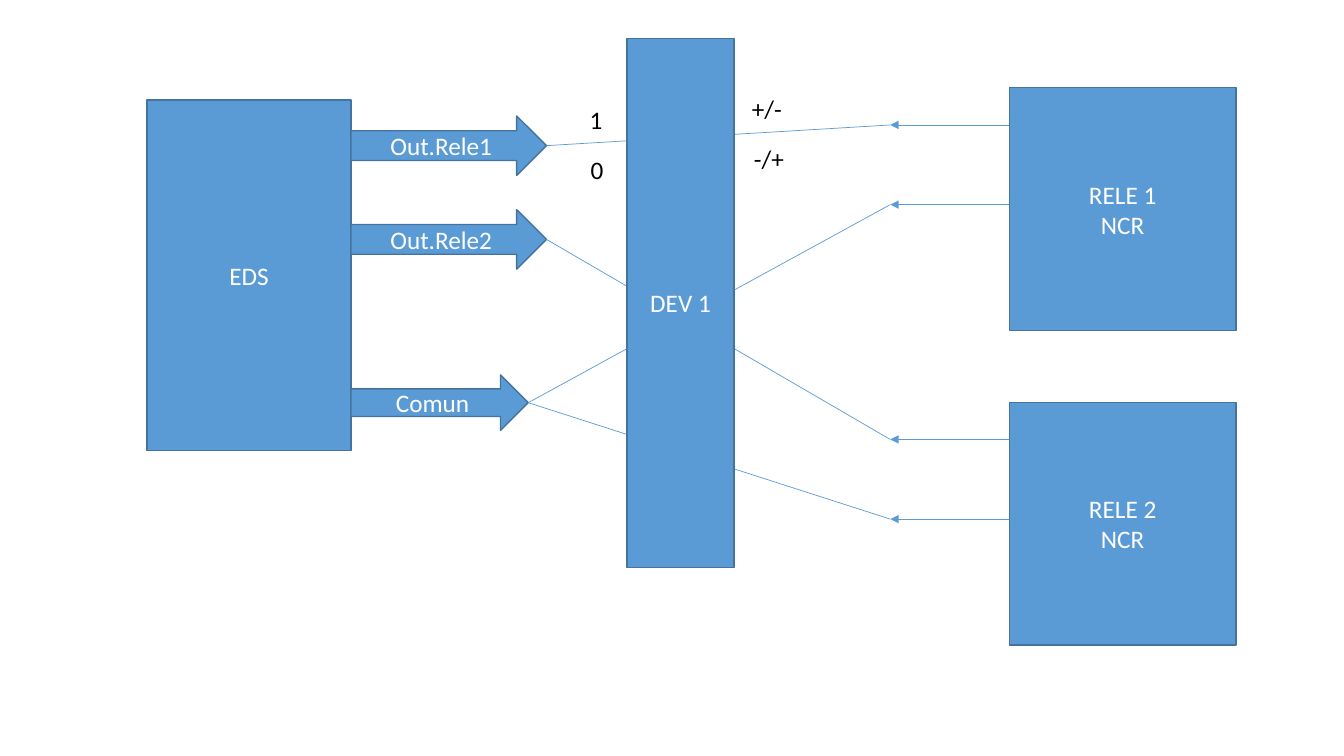
from lxml.etree import SubElement
from pptx import Presentation
from pptx.dml.color import RGBColor
from pptx.enum.shapes import MSO_CONNECTOR, MSO_SHAPE
from pptx.enum.text import MSO_ANCHOR, MSO_AUTO_SIZE, PP_ALIGN
from pptx.oxml.ns import qn
from pptx.util import Pt

PX = 9144  # 100 px to the inch
BLUE, EDGE, WHITE, BLACK = "5B9BD5", "43739E", "FFFFFF", "000000"
RIGHT_SIDE = 3

EDS_RIGHT = 348
RELAY_LEFT, RELAY_WIDTH, RELAY_HEIGHT = 1001, 225, 241
LEAD_END = 883
LEAD_OFFSETS = (37, 116)


def emu(*lengths):
    return [length * PX for length in lengths]


def color(hex_string):
    return RGBColor.from_string(hex_string)


def write(shape, text, hex_color, align):
    frame = shape.text_frame
    frame.text = text
    for paragraph in frame.paragraphs:
        paragraph.alignment = align
        for run in paragraph.runs:
            run.font.name = "Calibri"
            run.font.size = Pt(18)
            run.font.color.rgb = color(hex_color)


def add_block(slide, text, left, top, width, height, preset=MSO_SHAPE.RECTANGLE):
    block = slide.shapes.add_shape(preset, *emu(left, top, width, height))
    block.shadow.inherit = False
    block.fill.solid()
    block.fill.fore_color.rgb = color(BLUE)
    block.line.color.rgb = color(EDGE)
    block.line.width = Pt(1)
    block.text_frame.vertical_anchor = MSO_ANCHOR.MIDDLE
    write(block, text, WHITE, PP_ALIGN.CENTER)
    return block


def add_output(slide, text, top, width, height):
    return add_block(slide, text, EDS_RIGHT, top, width, height, MSO_SHAPE.RIGHT_ARROW)


def add_line(slide, x1, y1, x2, y2):
    line = slide.shapes.add_connector(MSO_CONNECTOR.STRAIGHT, *emu(x1, y1, x2, y2))
    line.line.color.rgb = color(BLUE)
    line.line.width = Pt(0.5)
    SubElement(line._element.spPr, qn("a:effectLst"))
    return line


def add_relay(slide, text, top):
    """Draw a relay with its two leads and return the heights of the leads."""
    add_block(slide, text, RELAY_LEFT, top, RELAY_WIDTH, RELAY_HEIGHT)
    lead_heights = [top + offset for offset in LEAD_OFFSETS]
    for y in lead_heights:
        lead = add_line(slide, RELAY_LEFT, y, LEAD_END, y)
        SubElement(lead.line._get_or_add_ln(), qn("a:tailEnd"), type="triangle")
    return lead_heights


def add_wire(slide, output, lead_y):
    wire = add_line(slide, EDS_RIGHT, lead_y, LEAD_END, lead_y)
    wire.begin_connect(output, RIGHT_SIDE)


def add_label(slide, text, left, top, width):
    label = slide.shapes.add_textbox(*emu(left, top, width, 40))
    label.text_frame.word_wrap = True
    label.text_frame.auto_size = MSO_AUTO_SIZE.SHAPE_TO_FIT_TEXT
    write(label, text, BLACK, PP_ALIGN.LEFT)


def main():
    presentation = Presentation()
    presentation.slide_width, presentation.slide_height = emu(1333, 750)
    slide = presentation.slides.add_slide(presentation.slide_layouts[6])

    add_block(slide, "EDS", 146, 99, 202, 348)
    out_1 = add_output(slide, "Out.Rele1", 115, 194, 59)
    out_2 = add_output(slide, "Out.Rele2", 208, 194, 59)
    common = add_output(slide, "Comun", 372, 176, 55)

    relay_1_leads = add_relay(slide, "RELE 1\nNCR", 87)
    relay_2_leads = add_relay(slide, "RELE 2\nNCR", 399)

    for output, leads in ((out_1, relay_1_leads), (out_2, relay_2_leads)):
        for source, lead_y in zip((output, common), leads):
            add_wire(slide, source, lead_y)

    add_block(slide, "DEV 1", 622, 38, 106, 525)

    for text, left, top, width in (
        ("1", 575, 99, 30),
        ("0", 576, 148, 30),
        ("+/-", 736, 88, 63),
        ("-/+", 738, 137, 63),
    ):
        add_label(slide, text, left, top, width)

    presentation.save("out.pptx")


if __name__ == "__main__":
    main()
